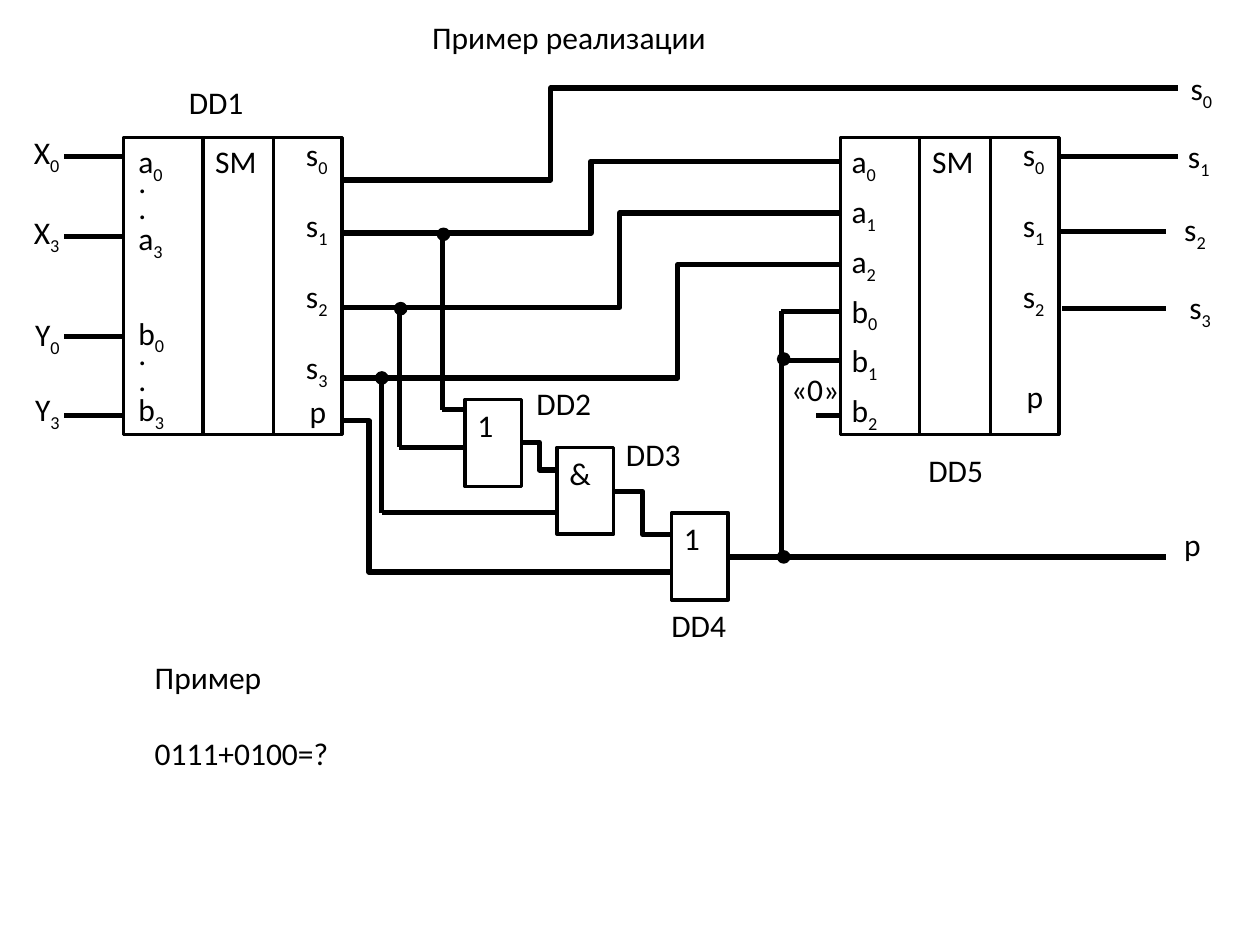
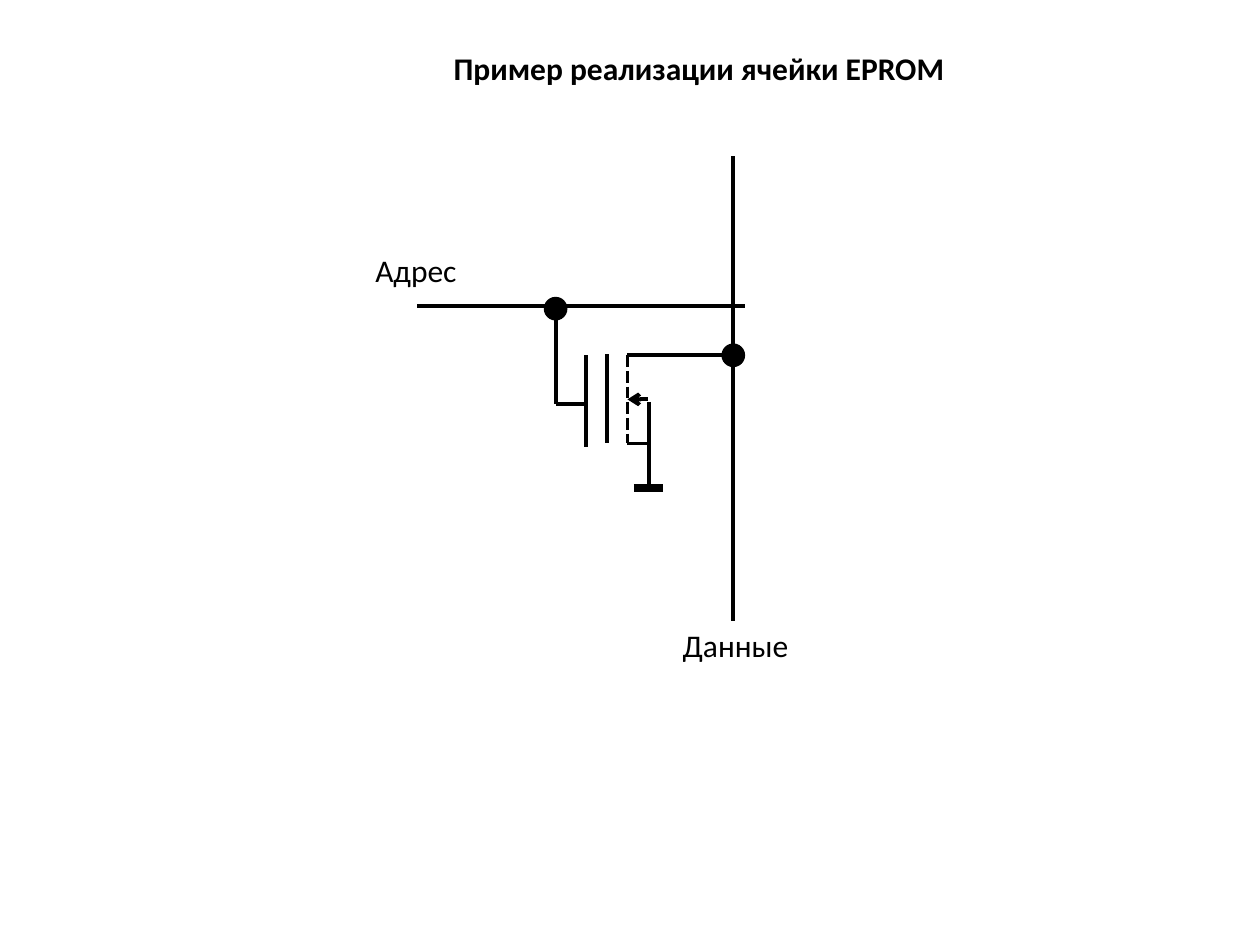
"""Build two circuit slides: a decimal adder and an EPROM cell."""
from lxml import etree
from pptx import Presentation, util as u
from pptx.dml.color import RGBColor
from pptx.enum import dml, shapes, text
from pptx.oxml import ns

BLACK, WHITE = "000000", "FFFFFF"
FONT, SIZE, LINE_HEIGHT = "Calibri", 18, 0.4
BOX_LINE, WIRE, CELL_WIRE, GROUND_WIRE = 2, 3, 2.25, 4.5

LETTER_WIDTHS = {"a": 0.41, "b": 0.42, "s": 0.39, "X": 0.42, "Y": 0.41, "p": 0.34,
                 ".": 0.27, "SM": 0.53, "«0»": 0.59, "Данные": 1.05, "Адрес": 0.85}
PART_WIDTH = 0.64

ADDER_TOP, ADDER_HEIGHT = 1.09, 2.36
ADDER_COLUMNS = [(0, 1.73), (0, 0.63), (1.19, 0.55)]
INPUT_TOP, INPUT_STEP = 1.08, 0.395
OUTPUT_TOP, OUTPUT_STEP = 1.02, 0.565
ADDERS = [
    {"left": 0.98, "inset": 0.02, "outputs": 4, "carry": 3.06,
     "inputs": [("a_0", 1.08), (".", 1.24), (".", 1.44), ("a_3", 1.69),
                ("b_0", 2.44), (".", 2.6), (".", 2.81), ("b_3", 3.05)]},
    {"left": 6.67, "inset": -0.01, "outputs": 3, "carry": 2.94,
     "inputs": [(name, INPUT_TOP + row * INPUT_STEP)
                for row, name in enumerate(["a_0", "a_1", "a_2", "b_0", "b_1", "b_2"])]},
]

GATE_SIZE = (0.45, 0.69)
GATES = [("1", 3.69, 3.17), ("&", 4.42, 3.55), ("1", 5.33, 4.07)]
ADDER_LABELS = [
    ("X_0", 0.17, 1.01), ("X_3", 0.17, 1.64), ("Y_0", 0.18, 2.45), ("Y_3", 0.18, 3.05),
    ("s_0", 9.35, 0.5), ("s_1", 9.33, 1.04), ("s_2", 9.3, 1.62), ("s_3", 9.34, 2.24),
    ("p", 9.3, 4.12), ("«0»", 6.18, 2.89), ("DD1", 1.4, 0.61), ("DD2", 4.16, 3),
    ("DD3", 4.87, 3.4), ("DD4", 5.23, 4.76), ("DD5", 7.27, 3.53),
]
INPUT_WIRES = [(0.51, y, 0.98, y) for y in (1.24, 1.88, 2.67, 3.3)]
STRAIGHT_WIRES = INPUT_WIRES + [
    (2.7, 2.44, 3.17, 2.44),
    (8.4, 1.24, 9.35, 1.24), (8.4, 1.84, 9.25, 1.84), (8.43, 2.45, 9.25, 2.45),
    (6.2, 2.47, 6.67, 2.47), (6.2, 2.86, 6.67, 2.86), (6.66, 3.3, 6.48, 3.3),
    (3.03, 3, 3.03, 4.07), (3.03, 4.07, 4.42, 4.07),
    (3.51, 1.84, 3.51, 3.25), (3.51, 3.25, 3.68, 3.25),
    (3.17, 2.47, 3.17, 3.55), (3.17, 3.55, 3.68, 3.55),
    (6.2, 2.47, 6.2, 4.42), (5.78, 4.42, 9.25, 4.42),
]
BENT_WIRES = [
    (2.72, 1.43, 9.35, 0.7, 4.37), (2.72, 1.85, 6.66, 1.28, 4.69),
    (3.17, 2.44, 6.66, 1.69, 4.92), (2.72, 3, 6.66, 2.1, 5.38),
    (2.72, 3.34, 5.33, 4.54, 2.93), (4.14, 3.51, 4.42, 3.73, 4.28),
    (4.87, 3.9, 5.33, 4.24, 5.1),
]
ADDER_NODES = [(3.52, 1.86), (3.18, 2.45), (3.03, 3), (6.22, 2.85), (6.22, 4.42)]

CELL_LABELS = [("Данные", 5.32, 4.92), ("Адрес", 2.88, 1.94)]
CELL_WIRES = [
    (3.31, 2.43, 5.91, 2.43), (5.82, 1.24, 5.82, 4.93),
    (4.41, 2.45, 4.41, 3.21), (4.41, 3.21, 4.65, 3.21),
    (4.65, 2.82, 4.65, 3.55), (4.82, 2.81, 4.82, 3.52),
    (4.98, 2.82, 5.84, 2.82), (4.98, 3.52, 5.14, 3.52), (5.15, 3.19, 5.15, 3.86),
]
CHANNEL, SUBSTRATE, GROUND = (4.98, 2.82, 4.98, 3.52), (5.14, 3.17, 4.98, 3.17), (5.03, 3.87, 5.26, 3.87)
CELL_NODES = [(4.41, 2.45), (5.82, 2.82)]


def color(value):
    return RGBColor.from_string(value)


def write(shape, *lines, bold=False, gap=0):
    """Fill a shape with left-aligned lines; an underscore starts a subscript."""
    frame = shape.text_frame
    frame.word_wrap = False
    frame.vertical_anchor = text.MSO_ANCHOR.TOP
    for number, line in enumerate(lines):
        paragraph = frame.add_paragraph() if number else frame.paragraphs[0]
        paragraph.alignment = text.PP_ALIGN.LEFT
        paragraph.space_before = u.Pt(gap if number else 0)
        for level, part in enumerate(line.split("_")):
            run = paragraph.add_run()
            run.text = part
            run.font.name, run.font.size, run.font.bold = FONT, u.Pt(SIZE), bold
            run.font.color.rgb = color(BLACK)
            if level:
                run._r.get_or_add_rPr().set("baseline", "-25000")


def add_label(slide, content, left, top):
    key = content.split("_")[0]
    width = LETTER_WIDTHS.get(key, PART_WIDTH)
    write(slide.shapes.add_textbox(*map(u.Inches, (left, top, width, LINE_HEIGHT))), content)


def add_box(slide, left, top, width, height, fill=None, kind=shapes.MSO_SHAPE.RECTANGLE):
    shape = slide.shapes.add_shape(kind, *map(u.Inches, (left, top, width, height)))
    shape.shadow.inherit = False
    shape.line.color.rgb = color(BLACK)
    shape.line.width = u.Pt(BOX_LINE)
    if fill:
        shape.fill.solid()
        shape.fill.fore_color.rgb = color(fill)
    else:
        shape.fill.background()
    return shape


def add_node(slide, x, y, size):
    add_box(slide, x - size / 2, y - size / 2, size, size, BLACK, shapes.MSO_SHAPE.OVAL)


def add_wire(slide, x1, y1, x2, y2, bend=None, width=WIRE, dash=None, arrow=False):
    kind = shapes.MSO_CONNECTOR.ELBOW if bend else shapes.MSO_CONNECTOR.STRAIGHT
    wire = slide.shapes.add_connector(kind, *map(u.Inches, (x1, y1, x2, y2)))
    wire.line.color.rgb = color(BLACK)
    wire.line.width = u.Pt(width)
    if dash:
        wire.line.dash_style = dash
    properties = wire._element.spPr
    if arrow:
        etree.SubElement(properties.find(ns.qn("a:ln")), ns.qn("a:tailEnd"), type="arrow")
    if bend:
        geometry = properties.find(ns.qn("a:prstGeom"))
        values = geometry.find(ns.qn("a:avLst"))
        if values is None:
            values = etree.SubElement(geometry, ns.qn("a:avLst"))
        share = round((bend - x1) / (x2 - x1) * 100000)
        etree.SubElement(values, ns.qn("a:gd"), name="adj1", fmla=f"val {share}")
    etree.SubElement(properties, ns.qn("a:effectLst"))


def add_adder(slide, left, inset, inputs, outputs, carry):
    for offset, width in ADDER_COLUMNS:
        add_box(slide, left + offset, ADDER_TOP, width, ADDER_HEIGHT)
    add_label(slide, "SM", left + 0.63, INPUT_TOP)
    for name, top in inputs:
        add_label(slide, name, left + inset, top)
    for row in range(outputs):
        add_label(slide, f"s_{row}", left + 1.35, OUTPUT_TOP + row * OUTPUT_STEP)
    add_label(slide, "p", left + 1.38, carry)


def add_slide(presentation, title, left, top, width, bold=False):
    slide = presentation.slides.add_slide(presentation.slide_layouts[5])
    shape = slide.shapes.title
    shape.left, shape.top, shape.width, shape.height = map(u.Inches, (left, top, width, LINE_HEIGHT))
    write(shape, title, bold=bold)
    return slide


def build_adder_slide(presentation):
    slide = add_slide(presentation, "Пример реализации", 3.33, 0.09, 2.4)
    for adder in ADDERS:
        add_adder(slide, **adder)
    for sign, left, top in GATES:
        write(add_box(slide, left, top, *GATE_SIZE, fill=WHITE), sign)
    for wire in STRAIGHT_WIRES + BENT_WIRES:
        add_wire(slide, *wire)
    for node in ADDER_NODES:
        add_node(slide, *node, size=0.08)
    for label in ADDER_LABELS:
        add_label(slide, *label)
    task = slide.shapes.add_textbox(*map(u.Inches, (1.13, 5.17, 1.6, 1.01)))
    write(task, "Пример", "0111+0100=?", gap=22)


def build_cell_slide(presentation):
    slide = add_slide(presentation, "Пример реализации ячейки EPROM", 3.5, 0.34, 4.1, bold=True)
    for wire in CELL_WIRES:
        add_wire(slide, *wire, width=CELL_WIRE)
    add_wire(slide, *CHANNEL, width=CELL_WIRE, dash=dml.MSO_LINE.SQUARE_DOT)
    add_wire(slide, *SUBSTRATE, width=CELL_WIRE, arrow=True)
    add_wire(slide, *GROUND, width=GROUND_WIRE)
    for node in CELL_NODES:
        add_node(slide, *node, size=0.16)
    for label in CELL_LABELS:
        add_label(slide, *label)


def main():
    presentation = Presentation()
    presentation.slide_width, presentation.slide_height = u.Inches(10), u.Inches(7.5)
    build_adder_slide(presentation)
    build_cell_slide(presentation)
    presentation.save("out.pptx")


if __name__ == "__main__":
    main()
